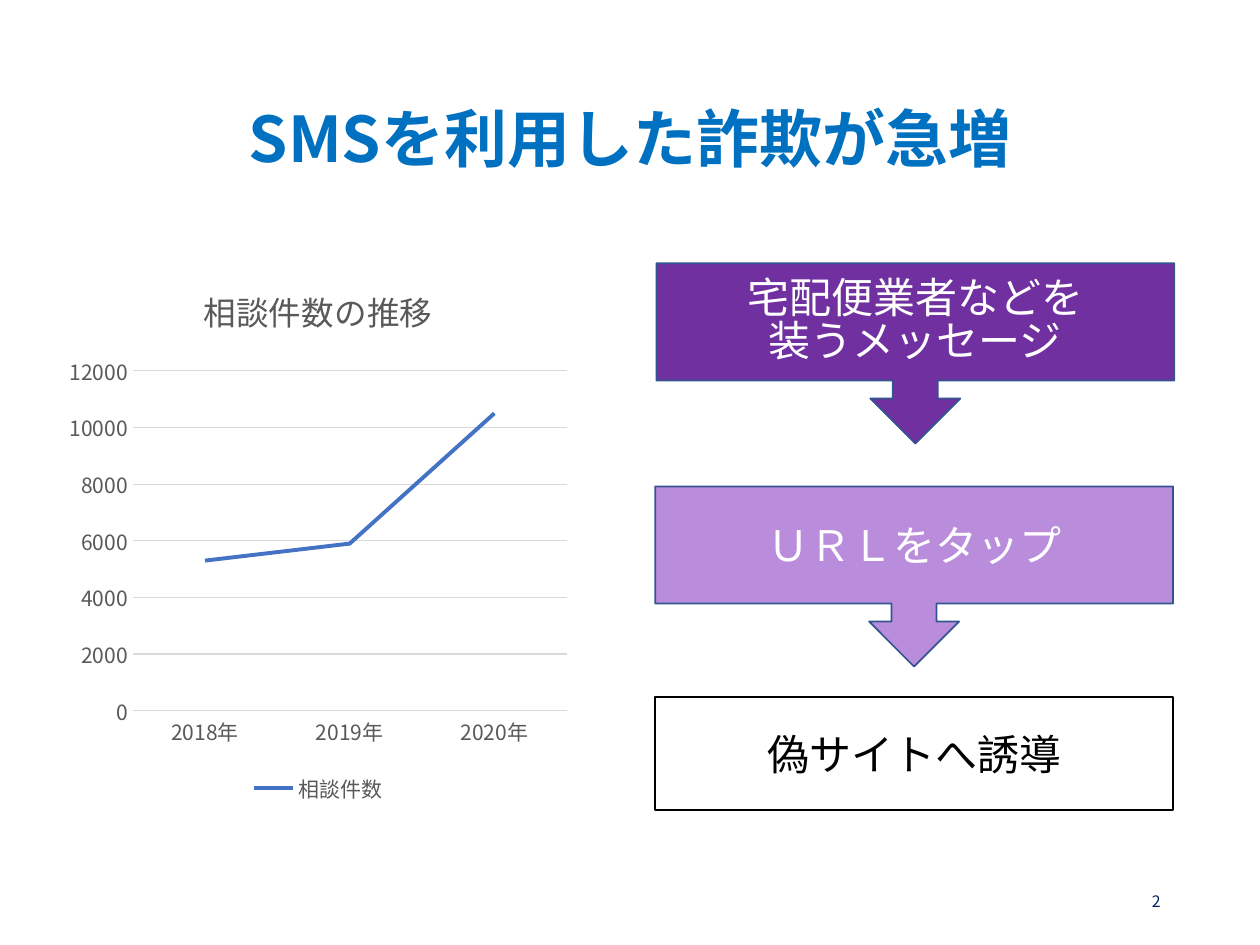
import pptx
import pptx.util
import pptx.chart.data
import pptx.dml.color
import pptx.enum.chart
import pptx.enum.shapes
import pptx.enum.text
import pptx.oxml.ns
import lxml.etree

RGB = pptx.dml.color.RGBColor
BLUE = RGB(0x00, 0x70, 0xC0)
NAVY = RGB(0x00, 0x20, 0x60)
PURPLE = RGB(0x70, 0x30, 0xA0)
LILAC = RGB(0xBA, 0x8C, 0xDC)
EDGE = RGB(0x32, 0x54, 0x91)
SERIES = RGB(0x44, 0x72, 0xC4)
GRAY = RGB(0x59, 0x59, 0x59)
GRID = RGB(0xD9, 0xD9, 0xD9)
WHITE = RGB(0xFF, 0xFF, 0xFF)
BLACK = RGB(0x00, 0x00, 0x00)
FONT = "Noto Sans CJK JP"
ALIGN = pptx.enum.text.PP_ALIGN
SHAPE = pptx.enum.shapes.MSO_SHAPE
TICK = pptx.enum.chart.XL_TICK_MARK


class Deck:
    def __init__(self, wide, high):
        self.file = pptx.Presentation()
        self.file.slide_width = pptx.util.Inches(wide)
        self.file.slide_height = pptx.util.Inches(high)
        self.slide = self.file.slides.add_slide(self.file.slide_layouts[6])

    def area(self, left, top, width, height):
        wide, high = self.file.slide_width, self.file.slide_height
        return [round(part * size / 100) for part, size in
                ((left, wide), (top, high), (width, wide), (height, high))]

    def style(self, font, size, color, bold=False):
        font.name = FONT
        font.size = pptx.util.Pt(size)
        font.bold = bold
        font.color.rgb = color

    def label(self, frame, lines, size, color, align=ALIGN.CENTER, bold=False, space=None):
        frame.word_wrap = True
        frame.vertical_anchor = pptx.enum.text.MSO_ANCHOR.MIDDLE
        for row, line in enumerate(lines):
            para = frame.add_paragraph() if row else frame.paragraphs[0]
            para.alignment = align
            para.line_spacing = space
            run = para.add_run()
            run.text = line
            self.style(run.font, size, color, bold)
            mark = pptx.oxml.ns.qn("a:ea")
            lxml.etree.SubElement(run.font._element, mark).set("typeface", FONT)

    def text(self, area, line, size, color, **look):
        box = self.slide.shapes.add_textbox(*self.area(*area))
        self.label(box.text_frame, [line], size, color, **look)

    def step(self, kind, area, lines, fill, edge, color):
        box = self.slide.shapes.add_shape(kind, *self.area(*area))
        box.shadow.inherit = False
        box.fill.solid()
        box.fill.fore_color.rgb = fill
        box.line.color.rgb = edge
        box.line.width = pptx.util.Pt(1)
        space = 0.85 if len(lines) > 1 else None
        self.label(box.text_frame, lines, 24, color, space=space)

    def chart(self, area, title, name, points):
        data = pptx.chart.data.CategoryChartData()
        data.categories = list(points)
        data.add_series(name, points.values())
        kind = pptx.enum.chart.XL_CHART_TYPE.LINE
        chart = self.slide.shapes.add_chart(kind, *self.area(*area), data).chart
        self.style(chart.font, 12, GRAY)
        chart.has_title = True
        self.label(chart.chart_title.text_frame, [title], 18.6, GRAY)
        chart.chart_title.include_in_layout = False
        chart.has_legend = True
        chart.legend.position = pptx.enum.chart.XL_LEGEND_POSITION.BOTTOM
        chart.legend.include_in_layout = False
        self.style(chart.legend.font, 12, GRAY)
        base, scale = chart.category_axis, chart.value_axis
        for axis in (base, scale):
            axis.major_tick_mark = axis.minor_tick_mark = TICK.NONE
            self.style(axis.tick_labels.font, 12, GRAY)
        scale.minimum_scale, scale.maximum_scale, scale.major_unit = 0, 12000, 2000
        scale.format.line.fill.background()
        for line in (base.format.line, scale.major_gridlines.format.line):
            line.color.rgb = GRID
            line.width = pptx.util.Pt(0.75)
        plot = chart.plots[0]
        plot.vary_by_categories = False
        trend = plot.series[0]
        trend.smooth = False
        trend.marker.style = pptx.enum.chart.XL_MARKER_STYLE.NONE
        trend.format.line.color.rgb = SERIES
        trend.format.line.width = pptx.util.Pt(2.25)


def main():
    deck = Deck(10, 7.5)
    deck.text((6.9, 5.33, 86.2, 19.33), "SMSを利用した詐欺が急増", 36, BLUE, bold=True, space=0.9)
    deck.text((70.6, 92.67, 22.5, 5.33), "2", 9, NAVY, align=ALIGN.RIGHT)
    deck.chart((4.7, 27.47, 41.1, 58.13), "相談件数の推移", "相談件数",
               {"2018年": 5300, "2019年": 5900, "2020年": 10500})
    call = SHAPE.DOWN_ARROW_CALLOUT
    steps = [
        (call, 52.1, 27.87, 19.07, ["宅配便業者などを", "装うメッセージ"], PURPLE, EDGE, WHITE),
        (call, 52, 51.47, 19.07, ["ＵＲＬをタップ"], LILAC, EDGE, WHITE),
        (SHAPE.RECTANGLE, 52, 73.73, 12, ["偽サイトへ誘導"], WHITE, BLACK, BLACK),
    ]
    for kind, left, top, high, *look in steps:
        deck.step(kind, (left, top, 41.1, high), *look)
    deck.file.save("out.pptx")


if __name__ == "__main__":
    main()
